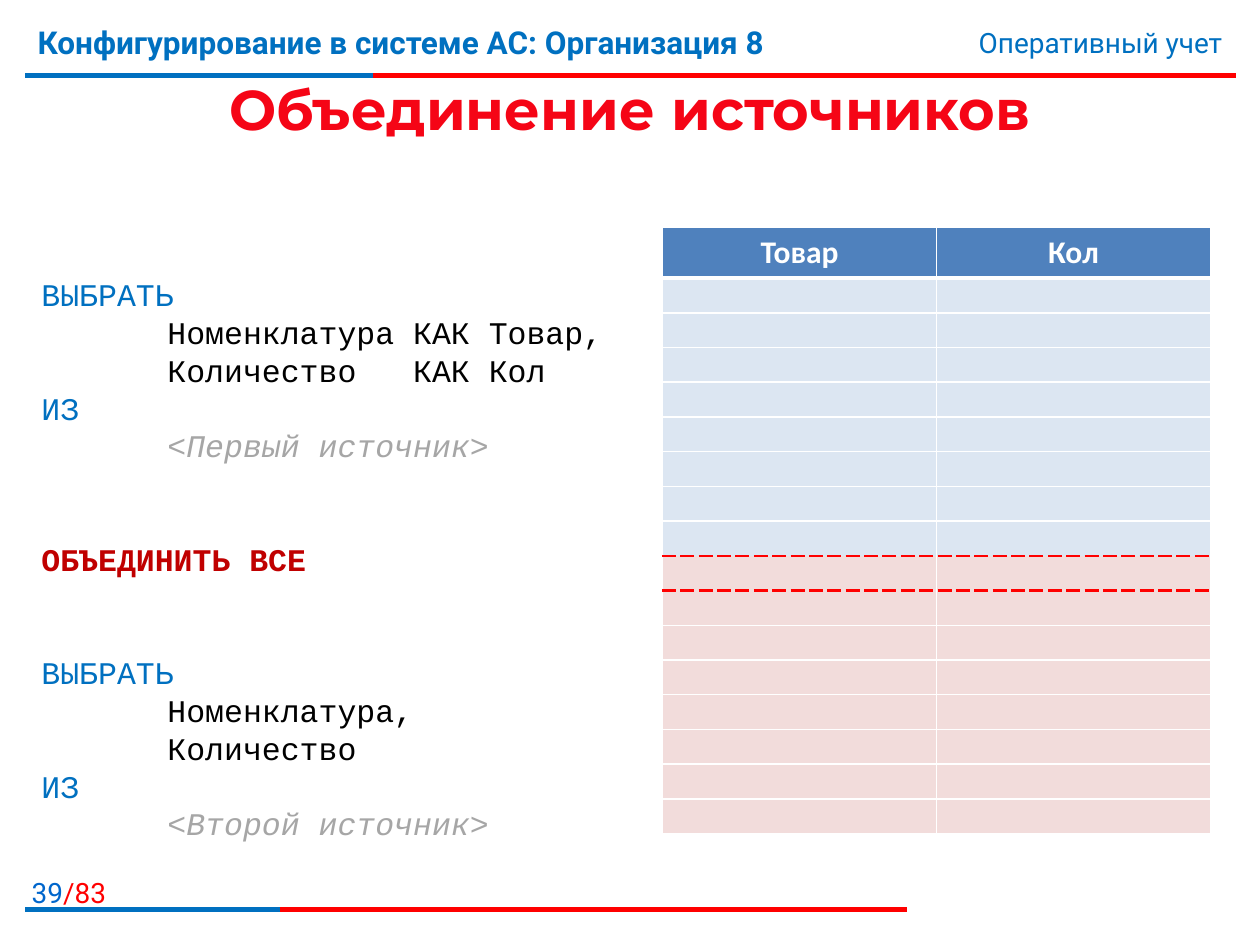
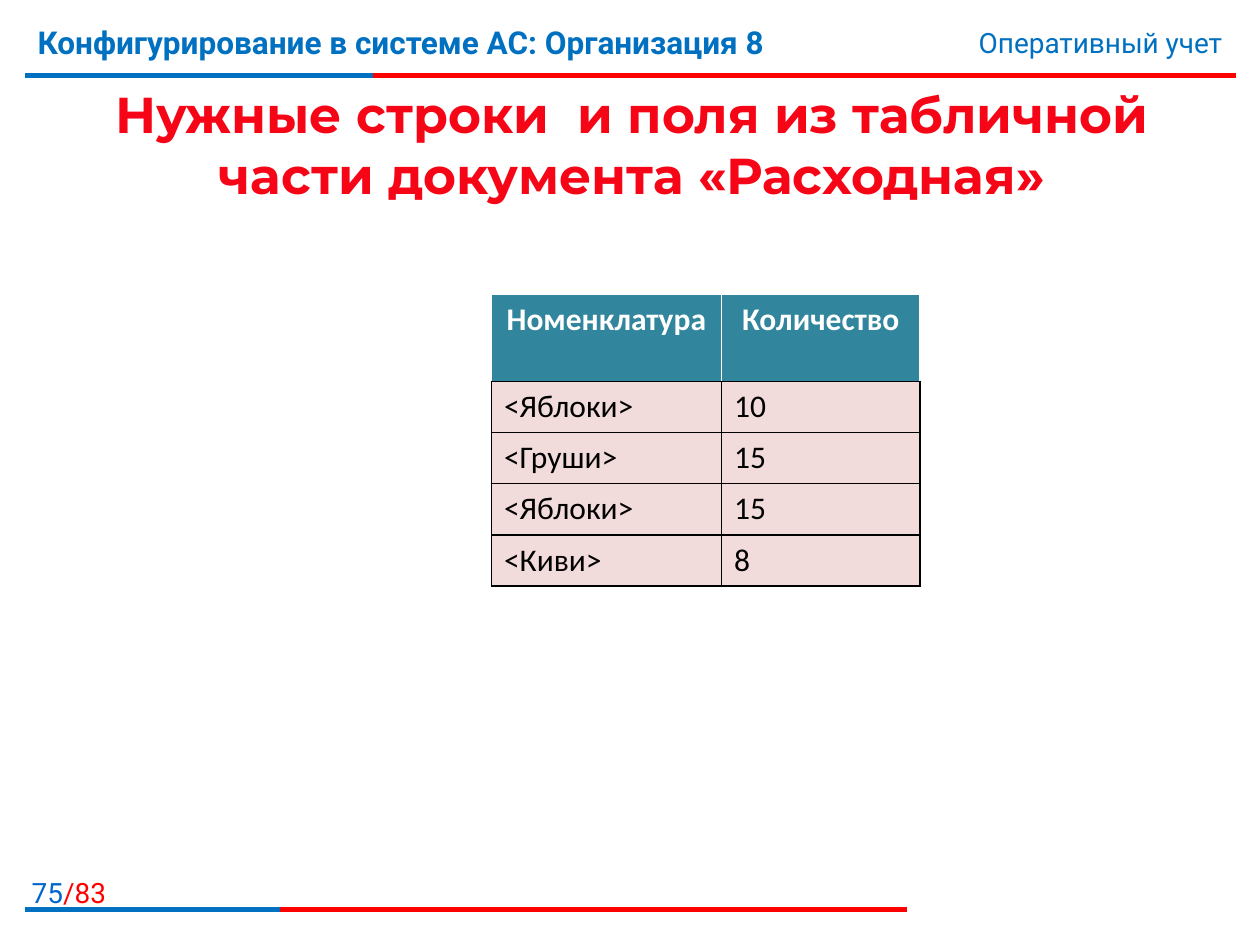
from lxml.etree import SubElement
from pptx import Presentation
from pptx.dml.color import RGBColor
from pptx.enum.shapes import MSO_CONNECTOR
from pptx.enum.text import MSO_ANCHOR, PP_ALIGN
from pptx.oxml.ns import qn
from pptx.util import Pt

COLORS = {
    "blue": "0070C0", "number": "0066CC", "red": "FF0000", "title": "F50516",
    "keyword": "C00000", "gray": "A6A6A6", "black": "000000", "white": "FFFFFF",
    "header": "4F81BD", "first": "DCE6F2", "second": "F2DCDB", "teal": "31859C",
}
COURSE = "Конфигурирование в системе АС: Организация 8"
TOPIC = "Оперативный учет"
SLIDE_TOTAL = 83
RULE_LEFT = 14.4
CODE_INDENT = Pt(72)
CODE_LINE = 21.6

# text, colour, indented, blank lines above
QUERY = [
    ("ВЫБРАТЬ", "blue", False, 0),
    ("Номенклатура КАК Товар,", "black", True, 0),
    ("Количество   КАК Кол", "black", True, 0),
    ("ИЗ", "blue", False, 0),
    ("<Первый источник>", "gray", True, 0),
    ("ОБЪЕДИНИТЬ ВСЕ", "keyword", False, 2),
    ("ВЫБРАТЬ", "blue", False, 2),
    ("Номенклатура,", "black", True, 0),
    ("Количество", "black", True, 0),
    ("ИЗ", "blue", False, 0),
    ("<Второй источник>", "gray", True, 0),
]
GOODS = [("<Яблоки>", "10"), ("<Груши>", "15"), ("<Яблоки>", "15"), ("<Киви>", "8")]


def rgb(name):
    return RGBColor.from_string(COLORS[name])


def format_run(r, font, size, color, bold=False, italic=False):
    f = r.font
    f.name, f.size, f.bold, f.italic = font, Pt(size), bold, italic
    f.color.rgb = rgb(color)


def add_box(slide, left, top, width, height):
    sp = slide.shapes.add_textbox(Pt(left), Pt(top), Pt(width), Pt(height))
    sp.text_frame.word_wrap = True
    return sp


def add_label(slide, box, runs, size, bold=False, align=PP_ALIGN.LEFT):
    """Add a one-line text; runs are (text, colour) pairs."""
    p = add_box(slide, *box).text_frame.paragraphs[0]
    p.alignment = align
    for text, color in runs:
        r = p.add_run()
        r.text = text
        format_run(r, "Roboto", size, color, bold)


def add_line(slide, y, right, color):
    line = slide.shapes.add_connector(
        MSO_CONNECTOR.STRAIGHT, Pt(RULE_LEFT), Pt(y), Pt(right), Pt(y))
    line.line.color.rgb = rgb(color)
    line.line.width = Pt(3)
    SubElement(line._element.spPr, qn("a:effectLst"))


def add_rule(slide, y, blue_end, red_end):
    add_line(slide, y, red_end, "red")
    add_line(slide, y, blue_end, "blue")


def add_frame(slide, number):
    """Add the header, footer and slide number that all slides share."""
    add_rule(slide, 43.2, 213.1, 706.3)
    add_label(slide, (-7.2, 496.8, 74.9, 23),
              [(str(number), "number"), (f"/{SLIDE_TOTAL}", "red")], 16,
              align=PP_ALIGN.RIGHT)
    add_rule(slide, 519.8, 159.8, 518.4)
    add_label(slide, (14.4, 9.4, 532.8, 44.6), [(COURSE, "blue")], 18, bold=True)
    add_label(slide, (427.7, 10.8, 277.9, 26.6), [(TOPIC, "blue")], 16,
              align=PP_ALIGN.RIGHT)


def add_title(slide, text, box, size, fill=None):
    sp = add_box(slide, *box)
    if fill:
        sp.fill.solid()
        sp.fill.fore_color.rgb = rgb(fill)
    tf = sp.text_frame
    tf.text = text
    tf.vertical_anchor = MSO_ANCHOR.MIDDLE
    p = tf.paragraphs[0]
    p.alignment = PP_ALIGN.CENTER
    format_run(p.runs[0], "Montserrat", size, "title", bold=True)


def add_query(slide, box):
    tf = add_box(slide, *box).text_frame
    tf.margin_top = Pt(5.3)
    for i, (text, color, indented, gap) in enumerate(QUERY):
        p = tf.add_paragraph() if i else tf.paragraphs[0]
        p.text = text
        p.line_spacing = Pt(CODE_LINE)
        if indented:
            pPr = p._p.get_or_add_pPr()
            pPr.set("marL", str(int(CODE_INDENT)))
            pPr.set("indent", "0")
        if gap:
            p.space_before = Pt(gap * CODE_LINE)
        format_run(p.runs[0], "Courier New", 18, color,
                   bold=color == "keyword", italic=color == "gray")


def add_grid(slide, left, top, widths, heights):
    table = slide.shapes.add_table(
        len(heights), len(widths), Pt(left), Pt(top),
        Pt(sum(widths)), Pt(sum(heights))).table
    table.horz_banding = False
    for column, width in zip(table.columns, widths):
        column.width = Pt(width)
    for row, height in zip(table.rows, heights):
        row.height = Pt(height)
    return table


def paint_cell(cell, fill, line, **edges):
    """Set fill and borders; edges (L, R, T, B) override line = (colour, width[, dash])."""
    tcPr = cell._tc.get_or_add_tcPr()
    for side in "LRTB":
        color, width, *dash = edges.get(side, line)
        ln = SubElement(tcPr, qn(f"a:ln{side}"), w=str(int(Pt(width))))
        SubElement(SubElement(ln, qn("a:solidFill")), qn("a:srgbClr"),
                   val=COLORS[color])
        SubElement(ln, qn("a:prstDash"), val=dash[0] if dash else "solid")
    cell.fill.solid()
    cell.fill.fore_color.rgb = rgb(fill)


def write_cell(cell, text, header=False):
    cell.text = text
    p = cell.text_frame.paragraphs[0]
    p.alignment = PP_ALIGN.CENTER if header else PP_ALIGN.LEFT
    format_run(p.runs[0], "Calibri", 18, "white" if header else "black", bold=header)


def add_union_table(slide):
    """Add the result table: eight rows from each source, dashed where they join."""
    rows_per_source = 8
    white, thick, dashed = ("white", 1), ("white", 3), ("red", 1.5, "dash")
    borders = [white, thick] + [white] * (2 * rows_per_source)
    borders[rows_per_source + 1] = borders[rows_per_source + 2] = dashed
    table = add_grid(slide, 378.7, 129.6, [156.5] * 2,
                     [29.3] + [19.85] * (2 * rows_per_source))
    for i, row in enumerate(table.rows):
        fill = "first" if i <= rows_per_source else "second"
        for cell in row.cells:
            paint_cell(cell, fill if i else "header", white,
                       T=borders[i], B=borders[i + 1])
            if i:
                p = cell.text_frame.paragraphs[0]
                SubElement(p._p, qn("a:endParaRPr"), sz="800")
    for cell, text in zip(table.rows[0].cells, ("Товар", "Кол")):
        write_cell(cell, text, header=True)
        cell.vertical_anchor = MSO_ANCHOR.MIDDLE


def add_goods_table(slide):
    white, black = ("white", 1), ("black", 1)
    table = add_grid(slide, 280.8, 168, [131.5, 113.5], [50] + [29.2] * len(GOODS))
    for i, texts in enumerate([("Номенклатура", "Количество"), *GOODS]):
        for cell, text in zip(table.rows[i].cells, texts):
            if i:
                paint_cell(cell, "second", black)
            else:
                paint_cell(cell, "teal", white, B=black)
            write_cell(cell, text, header=i == 0)


def add_slide(prs, number):
    slide = prs.slides.add_slide(prs.slide_layouts[6])
    add_frame(slide, number)
    return slide


def main():
    prs = Presentation()
    prs.slide_width, prs.slide_height = Pt(720), Pt(540)

    slide = add_slide(prs, 39)
    add_union_table(slide)
    add_query(slide, (16.6, 151.9, 360, 334))
    add_title(slide, "Объединение источников", (36, 16.6, 648, 90), 32)

    slide = add_slide(prs, 75)
    add_title(slide, "Нужные строки  и поля из табличной части документа «Расходная»",
              (15.1, 45.4, 691.9, 73.4), 28.8, fill="white")
    add_goods_table(slide)

    prs.save("out.pptx")


if __name__ == "__main__":
    main()
